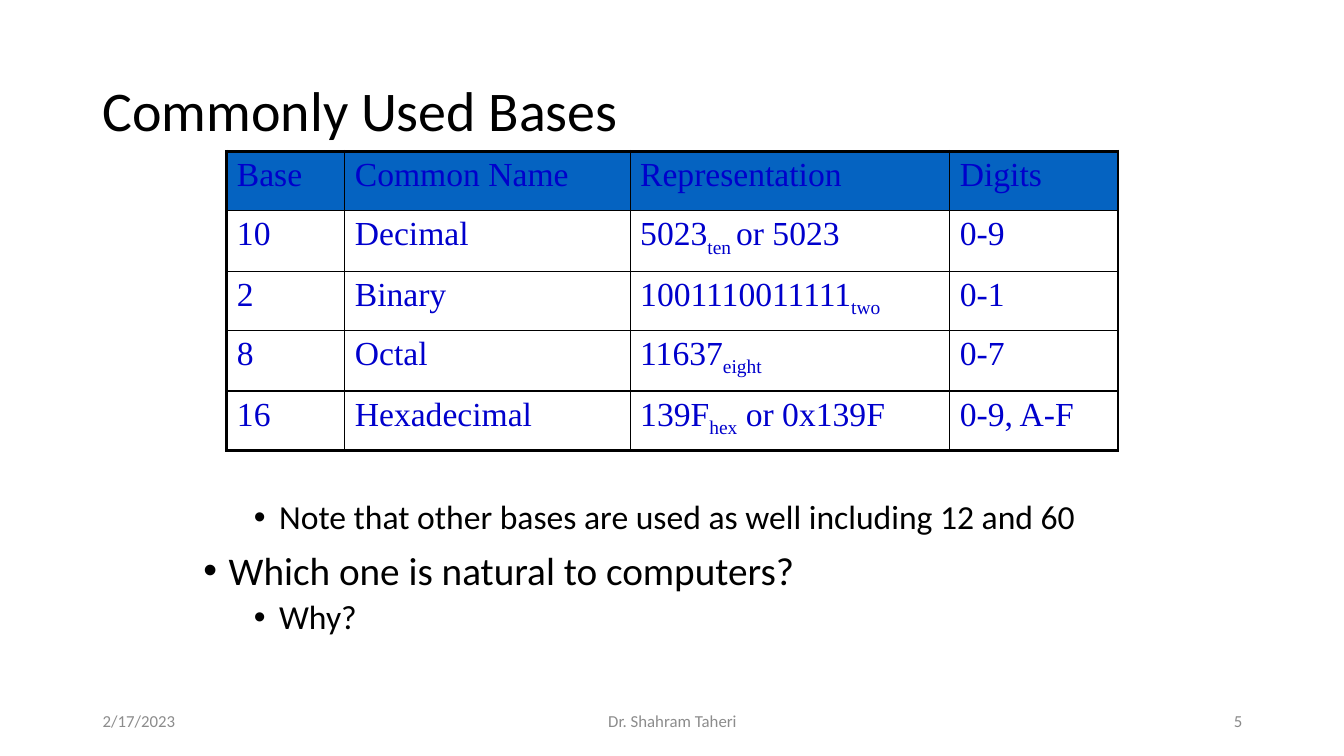
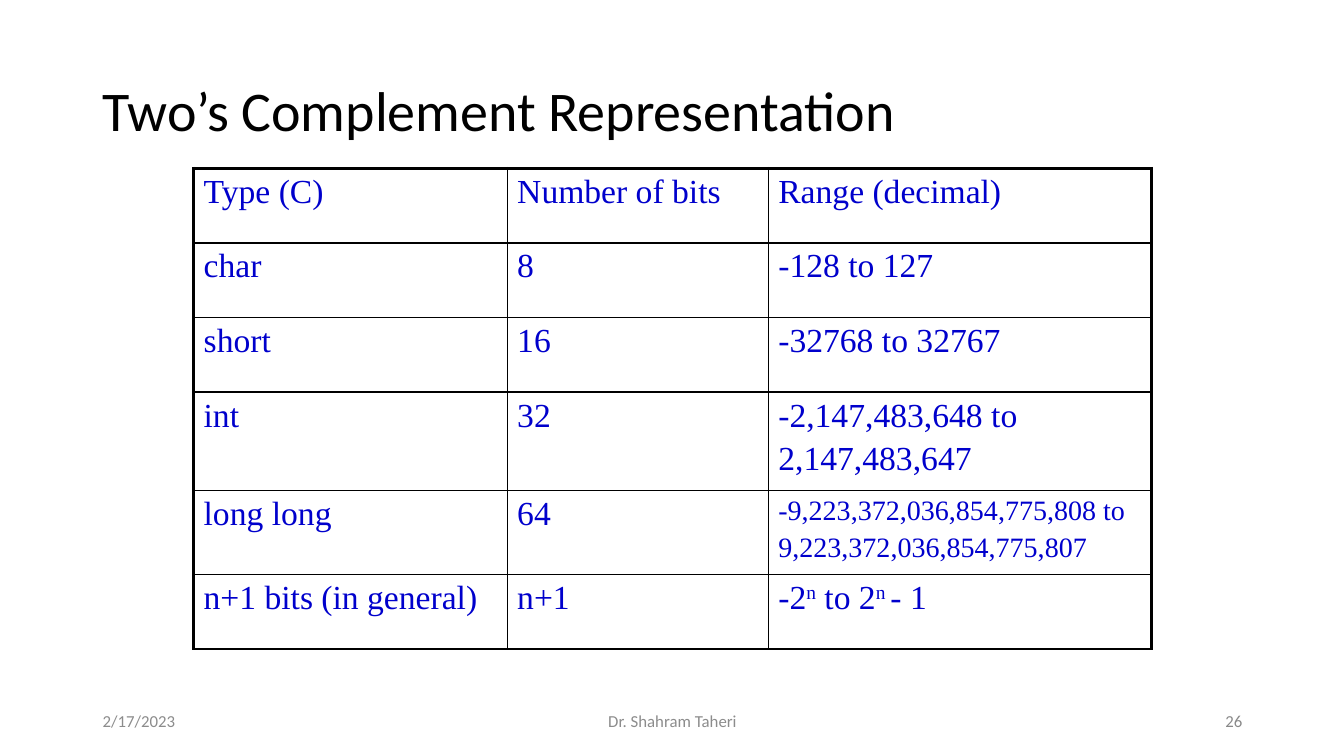
from lxml import etree
from pptx import Presentation
from pptx.dml.color import RGBColor
from pptx.enum.text import MSO_ANCHOR, PP_ALIGN
from pptx.oxml.ns import qn
from pptx.util import Pt

PX = 9144  # EMU per px, 100 px to the inch
LEFT, MID, RIGHT = PP_ALIGN.LEFT, PP_ALIGN.CENTER, PP_ALIGN.RIGHT
CENTRE = MSO_ANCHOR.MIDDLE

BLACK = RGBColor(0x00, 0x00, 0x00)
GREY = RGBColor(0x8C, 0x8C, 0x8C)
DIM = RGBColor(0x89, 0x89, 0x89)
INK = RGBColor(0x00, 0x00, 0xCC)
BLUE = RGBColor(0x05, 0x63, 0xC1)
SANS, SERIF = "Calibri", "Times New Roman"
THIN, THICK = Pt(1), Pt(2.25)

DATE, AUTHOR = "2/17/2023", "Dr. Shahram Taheri"

# In a cell, "|" switches between normal and raised or lowered text.
BASES = {
    "at": (225, 150),
    "cols": (117, 283, 317, 167),
    "heights": (59, 60, 59, 60, 59),
    "shift": -25000,
    "head": BLUE,
    "small": (),
    "rows": [
        ("Base", "Common Name", "Representation", "Digits"),
        ("10", "Decimal", "5023|ten |or 5023", "0-9"),
        ("2", "Binary", "1001110011111|two", "0-1"),
        ("8", "Octal", "11637|eight", "0-7"),
        ("16", "Hexadecimal", "139F|hex| or 0x139F", "0-9, A-F"),
    ],
}
RANGES = {
    "at": (192, 167),
    "cols": (311, 259, 380),
    "heights": (74, 74, 74, 98, 83, 74),
    "shift": 30000,
    "head": None,
    "small": ((4, 2),),
    "rows": [
        ("Type (C)", "Number of bits", "Range (decimal)"),
        ("char", "8", "-128 to 127"),
        ("short", "16", "-32768 to 32767"),
        ("int", "32", "-2,147,483,648 to\n2,147,483,647"),
        ("long long", "64",
         "-9,223,372,036,854,775,808 to\n9,223,372,036,854,775,807"),
        ("n+1 bits (in general)", "n+1", "-2|n| to 2|n |- 1"),
    ],
}
NOTES = [
    (1, "Note that other bases are used as well including 12 and 60"),
    (0, "Which one is natural to computers?"),
    (1, "Why?"),
]
# Size, space before and left margin of each note level
LEVELS = [(28, 10, 25), (24, 5, 75)]
SLIDES = [
    ("Commonly Used Bases", "5", NOTES, BASES),
    ("Two’s Complement Representation", "26", [], RANGES),
]


def style(run, size, color, face=SANS):
    font = run.font
    font.size, font.name = Pt(size), face
    font.color.rgb = color


def box(slide, *area):
    frame = slide.shapes.add_textbox(*(n * PX for n in area)).text_frame
    frame.word_wrap = True
    return frame


def label(slide, area, text, size, color, align=LEFT):
    frame = box(slide, *area)
    frame.vertical_anchor = CENTRE
    frame.text = text
    para = frame.paragraphs[0]
    para.alignment = align
    style(para.runs[0], size, color)
    return para


def base(deck, title, number):
    """Add a slide with the shared footer and title."""
    slide = deck.slides.add_slide(deck.slide_layouts[6])
    label(slide, (92, 695, 300, 40), DATE, 12, GREY)
    label(slide, (442, 695, 450, 40), AUTHOR, 12, GREY, MID)
    label(slide, (942, 695, 300, 40), number, 12, DIM, RIGHT)
    label(slide, (92, 40, 1150, 145), title, 40, BLACK).line_spacing = 0.9
    return slide


def bullets(slide, notes):
    frame = box(slide, 192, 492, 933, 208)
    frame.text = "\n".join(text for _, text in notes)
    for para, (level, _) in zip(frame.paragraphs, notes):
        size, before, left = LEVELS[level]
        para.level = level
        para.line_spacing, para.space_before = 0.9, Pt(before)
        style(para.runs[0], size, BLACK)
        props = para._p.get_or_add_pPr()
        props.set("marL", str(left * PX))
        props.set("indent", str(-25 * PX))
        etree.SubElement(props, qn("a:buFont"), typeface="Arial")
        etree.SubElement(props, qn("a:buChar"), char="•")


def write(cell, text, size, shift):
    lines = text.split("\n")
    cell.text = "\n" * (len(lines) - 1)
    for para, line in zip(cell.text_frame.paragraphs, lines):
        space = etree.SubElement(para._p.get_or_add_pPr(), qn("a:spcBef"))
        etree.SubElement(space, qn("a:spcPct"), val="20000")
        for i, part in enumerate(line.split("|")):
            run = para.add_run()
            run.text = part
            style(run, size, INK, SERIF)
            if i % 2:
                run._r.get_or_add_rPr().set("baseline", str(shift))


def border(cell, sides):
    """Draw each side; a true flag marks the table's outer edge."""
    props = cell._tc.get_or_add_tcPr()
    for side, outer in sides:
        line = etree.SubElement(props, qn("a:ln" + side),
                                w=str(THICK if outer else THIN))
        fill = etree.SubElement(line, qn("a:solidFill"))
        etree.SubElement(fill, qn("a:srgbClr"), val=str(BLACK))


def grid(slide, data):
    rows, cols, tall = data["rows"], data["cols"], data["heights"]
    area = (*data["at"], sum(cols), sum(tall))
    table = slide.shapes.add_table(len(rows), len(cols),
                                   *(n * PX for n in area)).table
    table.first_row = table.horz_banding = False
    for col, width in zip(table.columns, cols):
        col.width = width * PX
    for r, texts in enumerate(rows):
        table.rows[r].height = tall[r] * PX
        for c, text in enumerate(texts):
            cell = table.cell(r, c)
            size = 20 if (r, c) in data["small"] else 24
            write(cell, text, size, data["shift"])
            border(cell, (("L", c == 0), ("R", c == len(cols) - 1),
                          ("T", r == 0), ("B", r == len(rows) - 1)))
            if r == 0 and data["head"]:
                cell.fill.solid()
                cell.fill.fore_color.rgb = data["head"]
            else:
                cell.fill.background()


def main():
    deck = Presentation()
    deck.slide_width, deck.slide_height = 1333 * PX, 750 * PX
    for title, number, notes, data in SLIDES:
        slide = base(deck, title, number)
        if notes:
            bullets(slide, notes)
        grid(slide, data)
    deck.save("out.pptx")


if __name__ == "__main__":
    main()
